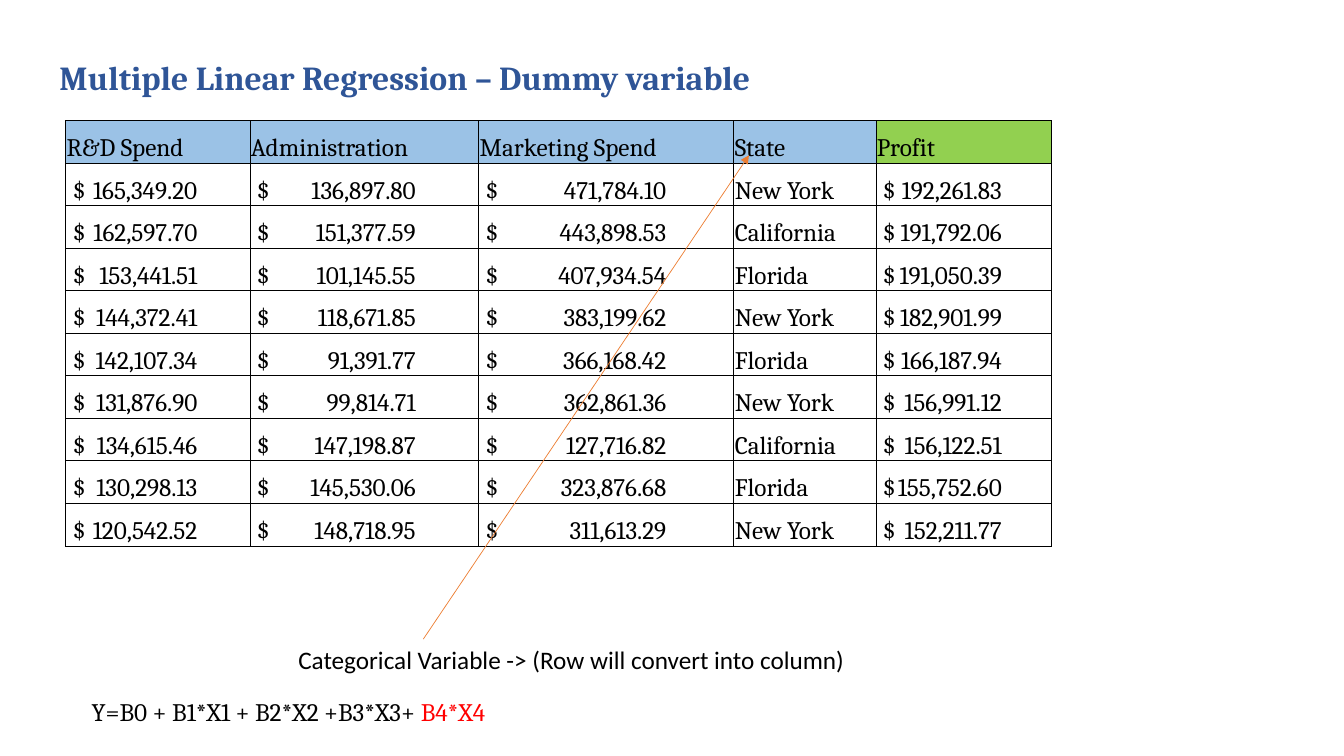
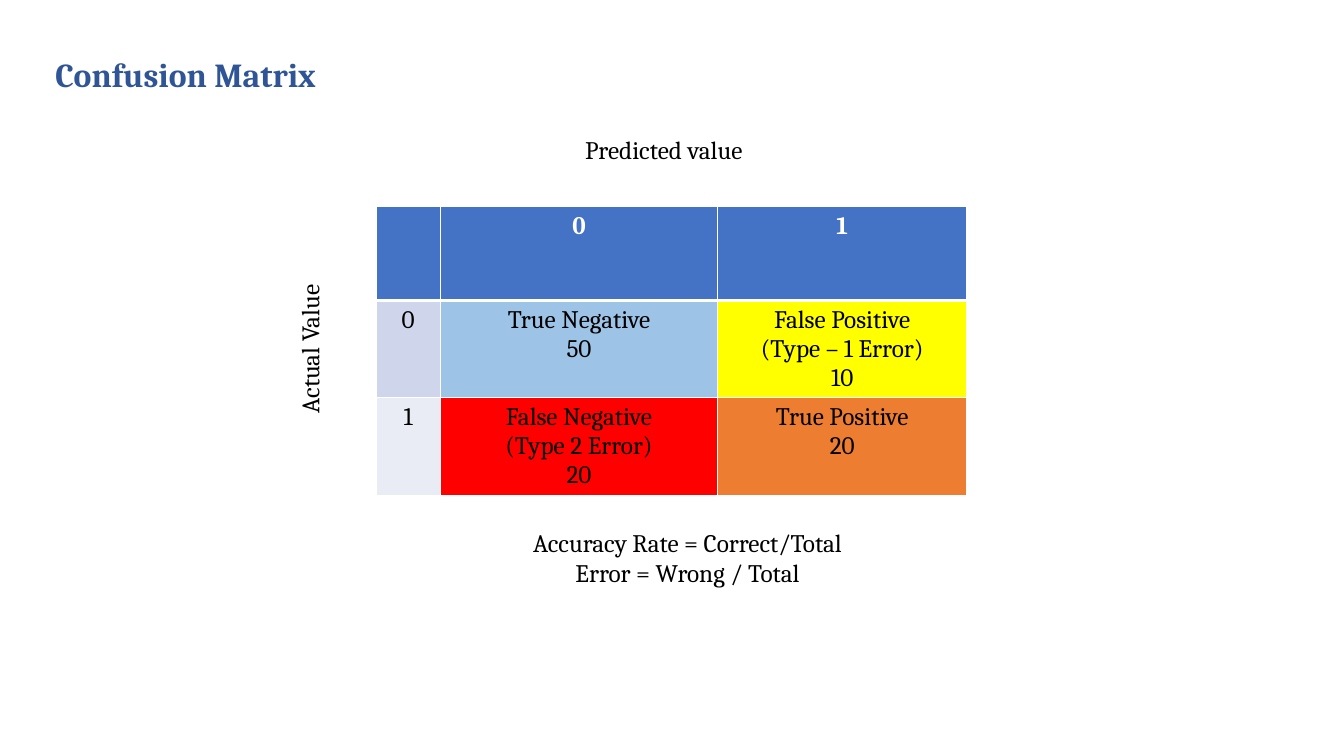
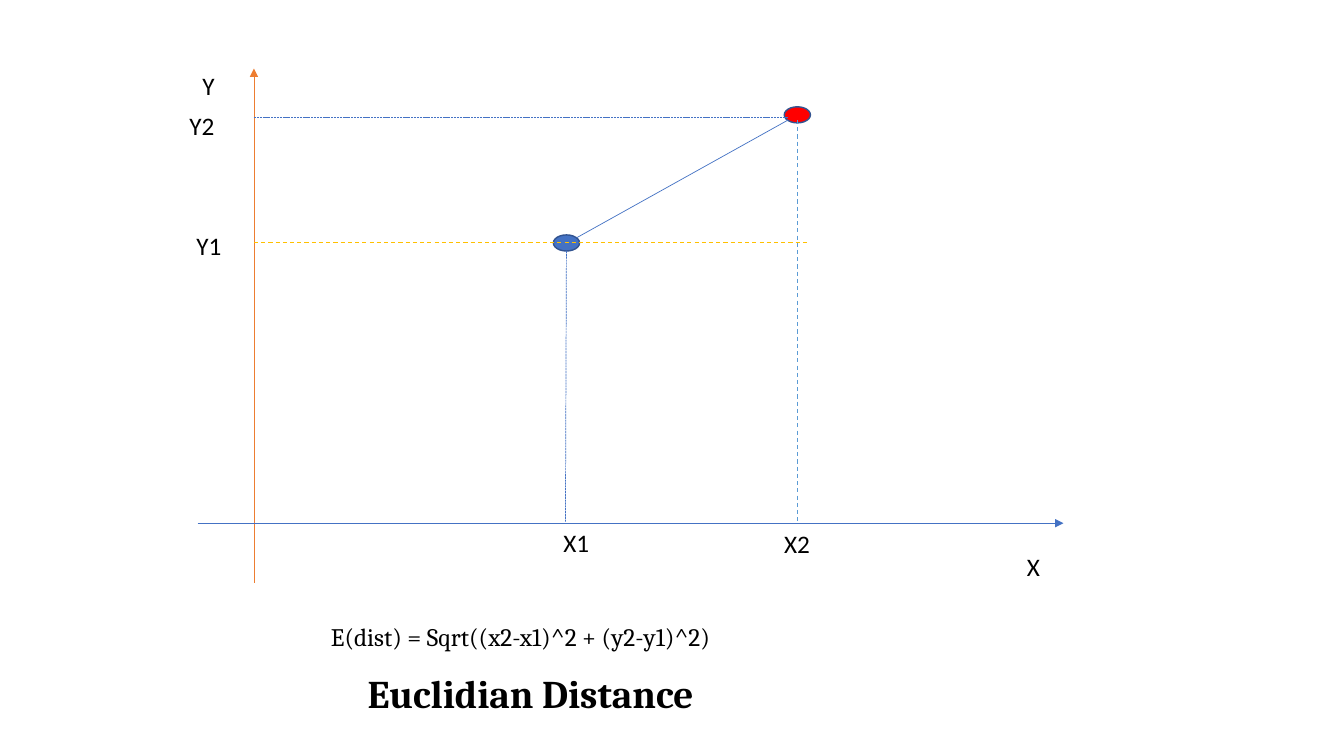
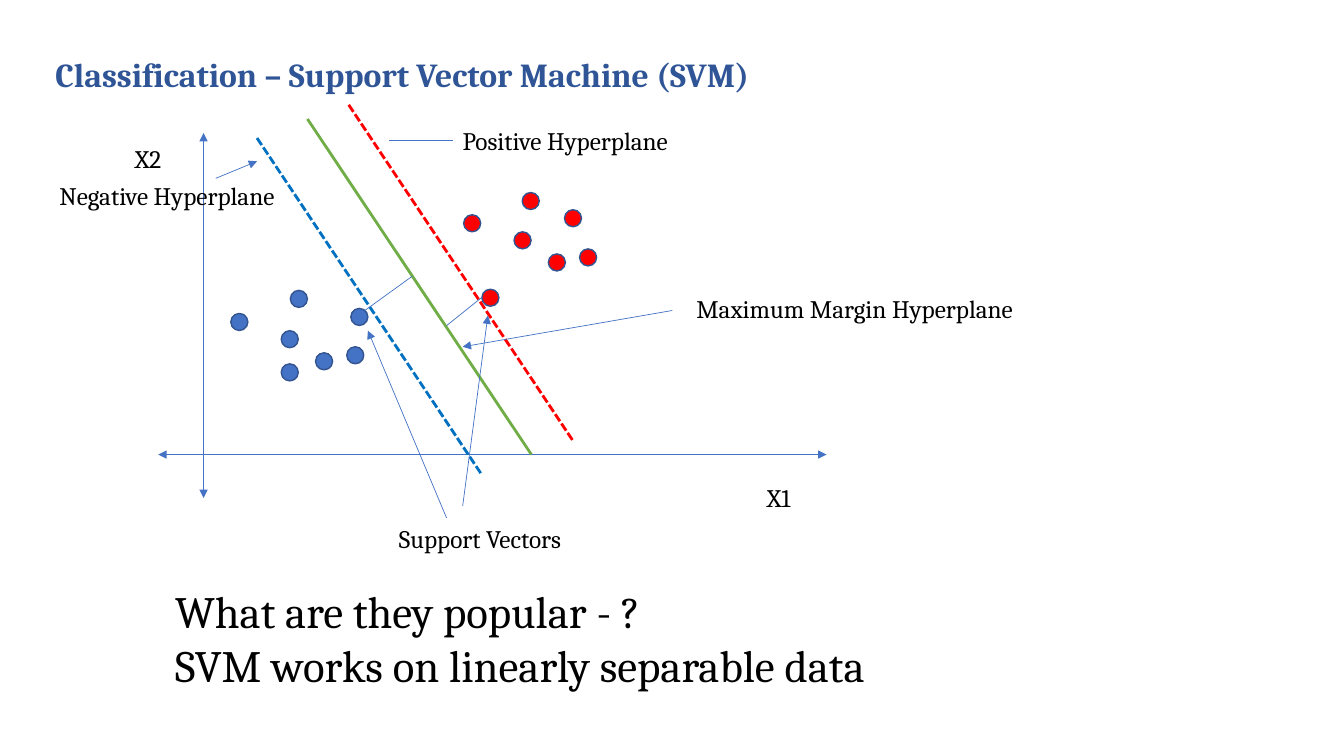
import pptx
import pptx.util
import pptx.dml.color
import pptx.enum.dml
import pptx.enum.shapes
import pptx.enum.text
import pptx.oxml.ns
import lxml.etree

Pt = pptx.util.Pt
qn = pptx.oxml.ns.qn
rgb = pptx.dml.color.RGBColor.from_string
SubElement = lxml.etree.SubElement
ALIGN = pptx.enum.text.PP_ALIGN
ANCHOR = pptx.enum.text.MSO_ANCHOR
DASH = pptx.enum.dml.MSO_LINE.DASH
SYS_DASH = pptx.enum.dml.MSO_LINE.SQUARE_DOT

BLACK, WHITE, RED = "000000", "FFFFFF", "FF0000"
BLUE, ORANGE, NAVY = "4472C4", "ED7D31", "2F5597"


def write(target, text, at=None, size=18, font="Cambria", color=BLACK,
          bold=False, align=ALIGN.LEFT):
    """Add text to a shape or cell, or to a new text box on a slide if at is given."""
    if at:
        target = target.shapes.add_textbox(*[Pt(v) for v in at])
        target.text_frame.word_wrap = True
    tf = target.text_frame
    for i, part in enumerate(text.split("\n")):
        p = tf.add_paragraph() if i else tf.paragraphs[-1]
        p.alignment = align
        r = p.add_run()
        r.text = part
        r.font.size, r.font.name, r.font.bold = Pt(size), font, bold
        r.font.color.rgb = rgb(color)
    return target


def line(s, x1, y1, x2, y2, color=BLUE, width=0.5, dash=None, arrows=()):
    """Add a straight line; arrows names the ends that carry a triangle."""
    c = s.shapes.add_connector(pptx.enum.shapes.MSO_CONNECTOR.STRAIGHT,
                               Pt(x1), Pt(y1), Pt(x2), Pt(y2))
    c.line.color.rgb = rgb(color)
    c.line.width = Pt(width)
    if dash:
        c.line.dash_style = dash
    for end in arrows:
        SubElement(c.line._get_or_add_ln(), qn(f"a:{end}End"), type="triangle")
    SubElement(c._element.spPr, qn("a:effectLst"))
    return c


prs = pptx.Presentation()
prs.slide_width, prs.slide_height = Pt(960), Pt(540)

# Slides and their titles
heading = dict(size=24, color=NAVY, bold=True)
caption = dict(size=28, bold=True, align=ALIGN.CENTER)
slides = []
for text, at, fmt in [
    ("Multiple Linear Regression – Dummy variable", (35.3, 37.4, 850, 36), heading),
    ("Confusion Matrix", (32.4, 34.6, 880, 36), heading),
    ("Euclidian Distance", (85, 474.5, 588, 41), caption),
    ("Classification – Support Vector Machine (SVM)", (32.4, 34.6, 880, 36), heading),
]:
    s = prs.slides.add_slide(prs.slide_layouts[5])
    sp = s.shapes.title
    sp.left, sp.top, sp.width, sp.height = [Pt(v) for v in at]
    sp.text_frame.auto_size = pptx.enum.text.MSO_AUTO_SIZE.NONE
    sp.text_frame.vertical_anchor = ANCHOR.TOP
    write(sp, text, **fmt)
    slides.append(s)
regression, confusion, distance, svm = slides

# Both tables: frame, sizes and borders
tables = []
for s, x, y, widths, rows, height, color, width, head_rule in [
    (regression, 47, 86, (131.5, 163.5, 182.2, 101.5, 125.3), 10, 30.4, BLACK, 0.5, 0.5),
    (confusion, 268.6, 147.6, (46, 198, 178), 3, 67, WHITE, 1, 3),
]:
    table = s.shapes.add_table(rows, len(widths), Pt(x), Pt(y),
                               Pt(sum(widths)), Pt(rows * height)).table
    table.first_row = table.horz_banding = False
    for col, w in zip(table.columns, widths):
        col.width = Pt(w)
    for i, row in enumerate(table.rows):
        row.height = Pt(height)
        for cell in row.cells:
            for side in "LRTB":
                at_head = (i, side) in [(0, "B"), (1, "T")]
                ln = SubElement(cell._tc.get_or_add_tcPr(), qn(f"a:ln{side}"),
                                w=str(Pt(head_rule if at_head else width)))
                fill = SubElement(ln, qn("a:solidFill"))
                SubElement(fill, qn("a:srgbClr"), val=color)
    tables.append(table)
spending, matrix = tables

# Slide 1: spending table, amounts set on right tabs
data = [
    ("R&D Spend", "Administration", "Marketing Spend", "State", "Profit"),
    ("165,349.20", "136,897.80", "471,784.10", "New York", "192,261.83"),
    ("162,597.70", "151,377.59", "443,898.53", "California", "191,792.06"),
    ("153,441.51", "101,145.55", "407,934.54", "Florida", "191,050.39"),
    ("144,372.41", "118,671.85", "383,199.62", "New York", "182,901.99"),
    ("142,107.34", "91,391.77", "366,168.42", "Florida", "166,187.94"),
    ("131,876.90", "99,814.71", "362,861.36", "New York", "156,991.12"),
    ("134,615.46", "147,198.87", "127,716.82", "California", "156,122.51"),
    ("130,298.13", "145,530.06", "323,876.68", "Florida", "155,752.60"),
    ("120,542.52", "148,718.95", "311,613.29", "New York", "152,211.77"),
]
tabs = {0: 89, 1: 113.5, 2: 129, 4: 85}
for i, values in enumerate(data):
    for j, value in enumerate(values):
        cell = spending.cell(i, j)
        amount = i > 0 and j in tabs
        cell.margin_left = Pt(5 if amount else 0.7)
        cell.margin_right = cell.margin_top = Pt(0.7)
        cell.margin_bottom = 0
        cell.vertical_anchor = ANCHOR.BOTTOM
        write(cell, "$\t" + value if amount else value)
        if amount:
            pPr = cell.text_frame.paragraphs[0]._p.get_or_add_pPr()
            SubElement(SubElement(pPr, qn("a:tabLst")), qn("a:tab"),
                       pos=str(Pt(tabs[j])), algn="r")
        if i:
            cell.fill.background()
        else:
            cell.fill.solid()
            cell.fill.fore_color.rgb = rgb("92D050" if j == 4 else "9BC2E6")

# Slide 1: note and equation
line(regression, 302.4, 456.5, 535, 110.9, ORANGE, arrows=["tail"])
write(regression, "Categorical Variable -> (Row will convert into column)",
      (206, 456.5, 450, 29), font="Calibri")
sp = write(regression, "Y=B0 + B1*X1 + B2*X2 +B3*X3+ ", (58.3, 494, 322.6, 29))
write(sp, "B4*X4", color=RED)

# Slide 2: matrix cells
for i, row in enumerate([
    [("", BLUE), ("0", BLUE), ("1", BLUE)],
    [("0", "CFD5EA"), ("True Negative\n50", "9DC3E6"),
     ("False Positive\n(Type – 1 Error)\n10", "FFFF00")],
    [("1", "E9EBF5"), ("False Negative\n(Type 2 Error)\n20", RED),
     ("True Positive\n20", ORANGE)],
]):
    for j, (text, color) in enumerate(row):
        cell = matrix.cell(i, j)
        cell.fill.solid()
        cell.fill.fore_color.rgb = rgb(color)
        if text:
            write(cell, text, color=BLACK if i else WHITE, bold=i == 0,
                  align=ALIGN.CENTER)

# Slide 2: axis names and formulas
sp = write(confusion, "Actual Value", (206.6, 164.9, 36, 137.5))
sp.text_frame._txBody.bodyPr.set("vert", "vert270")
write(confusion, "Predicted value", (410.8, 92.5, 137.5, 36))
write(confusion, "Accuracy Rate = Correct/Total\nError = Wrong / Total",
      (183.6, 373, 615, 51), align=ALIGN.CENTER)

# Points of both diagrams
for s, color, w, h, points in [
    (distance, BLUE, 18.7, 11.5, [(395.3, 167.8)]),
    (distance, RED, 18.7, 11.5, [(560.2, 76.3)]),
    (svm, BLUE, 12.2, 12.2, [(164.9, 223.9), (225.4, 252), (247.7, 247.7), (200.9, 259.9),
                             (207.4, 207.4), (250.6, 220.3), (200.9, 236.2)]),
    (svm, RED, 12.2, 12.2, [(331.2, 153.4), (391.7, 181.4), (414, 177.8), (344.2, 206.6),
                            (373, 137.5), (403.2, 149.8), (367.2, 165.6)]),
]:
    for x, y in points:
        sp = s.shapes.add_shape(pptx.enum.shapes.MSO_SHAPE.OVAL, Pt(x), Pt(y), Pt(w), Pt(h))
        sp.shadow.inherit = False
        sp.fill.solid()
        sp.fill.fore_color.rgb = rgb(color)
        sp.line.color.rgb = rgb("325491")
        sp.line.width = Pt(1)

# Slide 3: axes, distance and guides
line(distance, 181.4, 416.2, 181.4, 49, ORANGE, arrows=["tail"])
line(distance, 141.1, 373.7, 759.6, 373.7, arrows=["tail"])
line(distance, 411.8, 169.9, 563, 85.7)
line(distance, 404.6, 179.3, 403.9, 373)
line_guides = [
    (569.5, 85.7, 569.5, 373, "5B9BD5", 0.75, DASH),
    (181.4, 83.9, 563, 83.9, BLUE, 0.5, SYS_DASH),
    (181.4, 173.5, 577.4, 173.5, "FFC000", 0.75, DASH),
]
distance.shapes[-1].line.dash_style = SYS_DASH
for guide in line_guides:
    line(distance, *guide)

# Slide 3: labels and formula
for text, x, y in [("X", 726.5, 390.2), ("Y", 137.5, 46.8), ("X1", 395.3, 373),
                   ("X2", 553, 373.7), ("Y1", 133.2, 161.3), ("Y2", 128.2, 74.9)]:
    write(distance, text, (x, y, 48, 29), font="Calibri")
write(distance, "E(dist) = Sqrt((x2-x1)^2 + (y2-y1)^2)", (62.6, 440, 618.5, 29),
      align=ALIGN.CENTER)

# Slide 4: axes, parallel hyperplanes and margins
line(svm, 145.4, 95, 145.4, 355.7, arrows=["head", "tail"])
line(svm, 113, 324.7, 590.4, 324.7, arrows=["head", "tail"])
for x, y, color, dash in [(219.6, 85, "70AD47", None), (249.1, 74.9, RED, SYS_DASH),
                          (183.6, 98.6, "0070C0", SYS_DASH)]:
    line(svm, x, y, x + 160, y + 239.7, color, 2, dash)
line(svm, 260.6, 221.8, 294.5, 197.3)
line(svm, 319, 232.6, 344.2, 212.4)

# Slide 4: labels and pointers
for text, x, y, w in [
    ("X1", 540.7, 341.3, 48), ("X2", 89.3, 98.6, 48),
    ("Support Vectors", 277.9, 370, 188.6),
    ("Maximum Margin Hyperplane", 490.3, 205.9, 286.6),
    ("Negative Hyperplane", 35.3, 125.3, 286.6),
]:
    write(svm, text, (x, y, w, 29))
for ends in [(319, 370, 262.8, 236.2), (330.5, 361.4, 348.5, 225.4),
             (480.2, 221.8, 330.5, 247.7), (154.1, 127.4, 183.6, 115.2)]:
    line(svm, *ends, arrows=["tail"])
sp = write(svm, "Positive Hyperplane", (323.3, 85.9, 286.6, 29))
c = line(svm, 323.3, 100.4, 277.9, 100.4)
c.begin_connect(sp, 1)
write(svm, "What are they popular - ?\nSVM works on linearly separable data",
      (118, 413.3, 729.4, 85), size=32)

prs.save("out.pptx")
